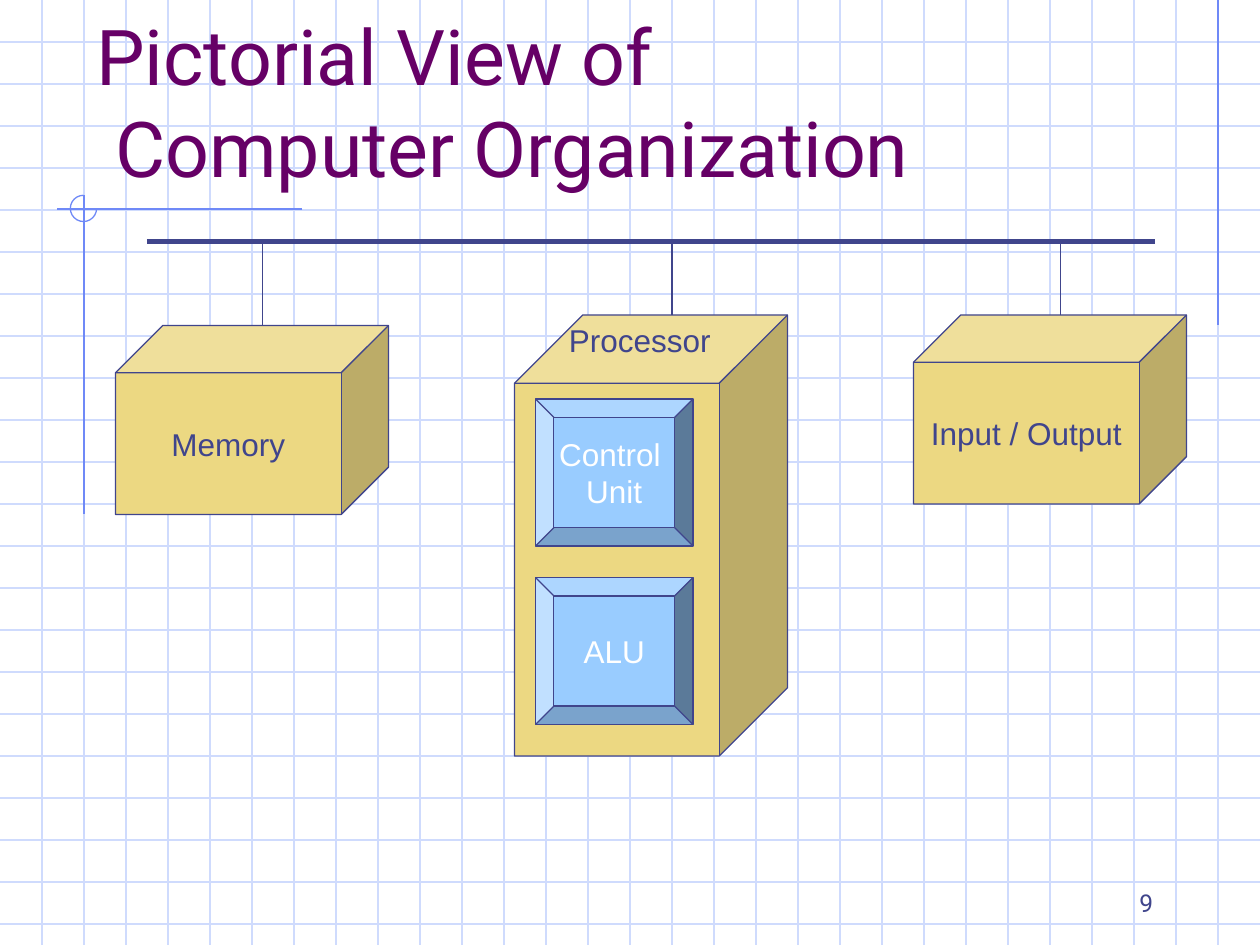
from dataclasses import dataclass

from lxml import etree
from pptx import Presentation
from pptx.dml.color import RGBColor
from pptx.enum.shapes import MSO_CONNECTOR, MSO_SHAPE
from pptx.enum.text import MSO_ANCHOR, PP_ALIGN
from pptx.oxml.ns import qn
from pptx.util import Inches, Pt

STRAIGHT = MSO_CONNECTOR.STRAIGHT
ARC, BEVEL, CUBE = MSO_SHAPE.ARC, MSO_SHAPE.BEVEL, MSO_SHAPE.CUBE
TOP, MIDDLE, BOTTOM = MSO_ANCHOR.TOP, MSO_ANCHOR.MIDDLE, MSO_ANCHOR.BOTTOM
LEFT, CENTER, RIGHT = PP_ALIGN.LEFT, PP_ALIGN.CENTER, PP_ALIGN.RIGHT

COLUMNS, ROWS = 120, 90
CELL = Inches(10) / COLUMNS
GRID_STEP = 4


@dataclass(frozen=True)
class Theme:
    grid: str = "CFDBFD"
    axis: str = "6F89F7"
    ink: str = "40458C"
    title: str = "660066"
    cube: str = "ECD882"
    bevel: str = "99CCFF"
    light: str = "FFFFFF"
    title_font: str = "Roboto"
    body_font: str = "Arial"
    title_size: int = 44
    body_size: int = 18
    number_size: int = 14
    thin: float = 0.75
    thick: float = 3


@dataclass(frozen=True)
class Box:
    left: float
    top: float
    width: float
    height: float

    def inner(self, column, row, width, height):
        return Box(self.left + column, self.top + row, width, height)

    def lengths(self):
        return [cells(n) for n in (self.left, self.top, self.width, self.height)]


THEME = Theme()


def cells(count):
    return round(count * CELL)


def color(value):
    return RGBColor.from_string(value)


def style_line(line, line_color, width=THEME.thin):
    line.color.rgb = color(line_color)
    line.width = Pt(width)


def add_line(shapes, box, start, end, line_color, width=THEME.thin):
    connector = shapes.add_connector(
        STRAIGHT,
        cells(box.left + start[0]), cells(box.top + start[1]),
        cells(box.left + end[0]), cells(box.top + end[1]),
    )
    style_line(connector.line, line_color, width)
    etree.SubElement(connector._element.spPr, qn("a:effectLst"))


def write_text(shape, text, size, text_color, font=THEME.body_font,
               align=LEFT, anchor=TOP, wrap=True):
    frame = shape.text_frame
    frame.text = text
    frame.word_wrap = wrap
    frame.vertical_anchor = anchor
    for paragraph in frame.paragraphs:
        paragraph.alignment = align
        for run in paragraph.runs:
            run.font.name = font
            run.font.size = Pt(size)
            run.font.color.rgb = color(text_color)


def add_solid(shapes, kind, box, fill, depth):
    shape = shapes.add_shape(kind, *box.lengths())
    shape.shadow.inherit = False
    shape.adjustments[0] = depth
    shape.fill.solid()
    shape.fill.fore_color.rgb = color(fill)
    style_line(shape.line, THEME.ink)
    return shape


def draw_grid(shapes, box):
    for row in range(GRID_STEP, box.height, GRID_STEP):
        add_line(shapes, box, (0, row), (box.width, row), THEME.grid)
    for column in range(GRID_STEP, box.width, GRID_STEP):
        add_line(shapes, box, (column, 0), (column, box.height), THEME.grid)


def draw_axes(shapes, box):
    add_line(shapes, box, (116, 0), (116, 31), THEME.axis)
    add_line(shapes, box, (28.8, 19.9), (5.4, 19.9), THEME.axis)
    add_line(shapes, box, (8, 18.6), (8, 49), THEME.axis)
    arc = shapes.add_shape(ARC, *box.inner(6.7, 18.6, 2.5, 2.5).lengths())
    arc.shadow.inherit = False
    arc.adjustments[0] = 0
    arc.adjustments[1] = 162
    arc.fill.background()
    style_line(arc.line, THEME.axis)


def draw_title(shapes, box):
    title = shapes.add_textbox(*box.lengths())
    write_text(title, "Pictorial View of\v Computer Organization", THEME.title_size,
               THEME.title, THEME.title_font, anchor=BOTTOM)


def draw_component(shapes, box, text):
    cube = add_solid(shapes, CUBE, box, THEME.cube, 0.25)
    write_text(cube, text, THEME.body_size, THEME.ink,
               align=CENTER, anchor=MIDDLE, wrap=False)


def draw_processor(shapes, box):
    add_solid(shapes, CUBE, box, THEME.cube, 0.25)
    label = shapes.add_textbox(*box.inner(4, 0, 20, 4.8).lengths())
    write_text(label, "Processor", THEME.body_size, THEME.ink)
    for row, text in ((8, "Control \nUnit"), (25, "ALU")):
        unit = add_solid(shapes, BEVEL, box.inner(2, row, 15, 14), THEME.bevel, 0.125)
        write_text(unit, text, THEME.body_size, THEME.light,
                   align=CENTER, anchor=MIDDLE, wrap=False)


def draw_bus(shapes, box):
    add_line(shapes, box, (0, 0), (box.width, 0), THEME.ink, THEME.thick)
    for column, drop in ((11, 8), (50, 7), (87, 7)):
        add_line(shapes, box, (column, 0), (column, drop), THEME.ink)


def draw_page_number(shapes, box):
    number = shapes.add_textbox(*box.lengths())
    write_text(number, "9", THEME.number_size, THEME.ink, THEME.title_font,
               align=RIGHT, anchor=BOTTOM)


def main():
    presentation = Presentation()
    presentation.slide_width = cells(COLUMNS)
    presentation.slide_height = cells(ROWS)
    slide = presentation.slides.add_slide(presentation.slide_layouts[6])
    slide.background.fill.solid()
    slide.background.fill.fore_color.rgb = color(THEME.light)
    shapes = slide.shapes
    page = Box(0, 0, COLUMNS, ROWS)

    draw_grid(shapes.add_group_shape().shapes, page)
    draw_axes(shapes.add_group_shape().shapes, page)
    draw_title(shapes, page.inner(8, 4, 102, 15))
    draw_component(shapes, page.inner(11, 31, 26, 18), "Memory")
    draw_processor(shapes, page.inner(49, 30, 26, 42))
    draw_component(shapes, page.inner(87, 30, 26, 18), "Input / Output")
    draw_bus(shapes.add_group_shape().shapes, page.inner(14, 23, 96, 8))
    draw_page_number(shapes, page.inner(86, 82, 25, 6))

    presentation.save("out.pptx")


if __name__ == "__main__":
    main()
